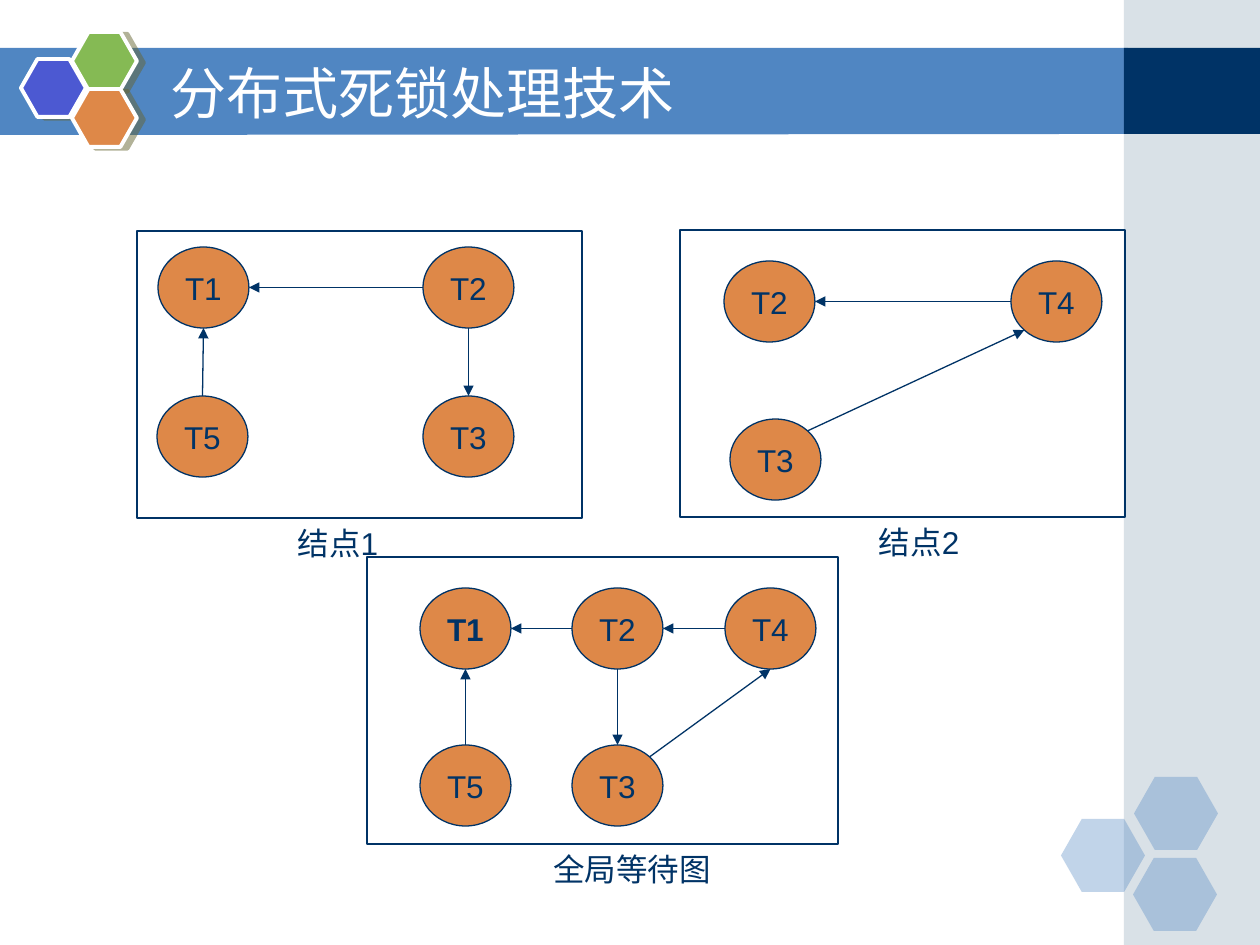
from math import cos, pi, sin

from lxml.etree import SubElement
from pptx import Presentation
from pptx.dml.color import RGBColor
from pptx.enum.shapes import MSO_CONNECTOR, MSO_SHAPE
from pptx.enum.text import MSO_ANCHOR, MSO_AUTO_SIZE, PP_ALIGN
from pptx.oxml.ns import qn
from pptx.util import Pt

EMU_PER_PX = 914400 / 126
COLORS = {
    "band": "5086C2", "navy": "003366", "side": "A0B5C4", "white": "FFFFFF",
    "violet": "4C59D2", "green": "85BA54", "orange": "DE8848", "shadow": "666633",
}
NODE_WIDTH, NODE_HEIGHT = 91, 81
# Connection sites of an ellipse, counter-clockwise from the top
TOP, TOP_LEFT, LEFT, BOTTOM_LEFT, BOTTOM, BOTTOM_RIGHT, RIGHT, TOP_RIGHT = range(8)

GRAPHS = [
    {
        "frame": (137, 231, 445, 287),
        "caption": ("结点1", 204, 518),
        "nodes": {"T1": (158, 247), "T2": (423, 247), "T5": (157, 396), "T3": (423, 396)},
        "edges": [("T2", LEFT, "T1", RIGHT), ("T5", TOP, "T1", BOTTOM),
                  ("T2", BOTTOM, "T3", TOP)],
    },
    {
        "frame": (680, 230, 445, 287),
        "caption": ("结点2", 785, 517),
        "nodes": {"T4": (1011, 261), "T2": (724, 261), "T3": (730, 419)},
        "edges": [("T4", LEFT, "T2", RIGHT), ("T3", TOP_RIGHT, "T4", BOTTOM_LEFT)],
    },
    {
        "frame": (367, 557, 471, 287),
        "caption": ("全局等待图", 498, 844),
        "nodes": {"T1": (420, 588), "T4": (725, 588), "T2": (572, 588),
                  "T3": (572, 745), "T5": (420, 745)},
        "edges": [("T4", LEFT, "T2", RIGHT), ("T2", LEFT, "T1", RIGHT),
                  ("T3", TOP_RIGHT, "T4", BOTTOM), ("T5", TOP, "T1", BOTTOM),
                  ("T2", BOTTOM, "T3", TOP)],
        "bold": "T1",
    },
]


def px(*lengths):
    return [round(length * EMU_PER_PX) for length in lengths]


def rgb(name):
    return RGBColor.from_string(COLORS[name])


def paint(shape, fill=None, line=None, width=0.75, alpha=None):
    """Set fill and outline; alpha is the fill's opacity in percent."""
    shape.shadow.inherit = False
    if fill:
        shape.fill.solid()
        shape.fill.fore_color.rgb = rgb(fill)
    else:
        shape.fill.background()
    if alpha:
        color = shape.fill._xPr.find(qn("a:solidFill"))[0]
        SubElement(color, qn("a:alpha"), val=str(alpha * 1000))
    if line:
        shape.line.color.rgb = rgb(line)
        shape.line.width = Pt(width)
    else:
        shape.line.fill.background()


def add_block(page, kind, bounds, **style):
    shape = page.shapes.add_shape(kind, *px(*bounds))
    paint(shape, **style)
    return shape


def add_hexagon(page, bounds, **style):
    hexagon = add_block(page, MSO_SHAPE.HEXAGON, bounds, **style)
    hexagon.adjustments[0] = 0.285
    return hexagon


def add_hard_shadow(shape):
    effects = shape._element.spPr.find(qn("a:effectLst"))
    shadow = SubElement(effects, qn("a:outerShdw"), dist=str(Pt(4.1)),
                        dir=str(14 * 60000), algn="ctr", rotWithShape="0")
    color = SubElement(shadow, qn("a:srgbClr"), val=COLORS["shadow"])
    SubElement(color, qn("a:alpha"), val="50000")


def write(shape, text, size=18, font="Arial", color="navy", bold=False,
          align=PP_ALIGN.CENTER, anchor=MSO_ANCHOR.MIDDLE, wrap=True, before=0):
    frame = shape.text_frame
    frame.auto_size = MSO_AUTO_SIZE.NONE
    frame.word_wrap = wrap
    frame.vertical_anchor = anchor
    para = frame.paragraphs[0]
    para.alignment = align
    para.space_before = Pt(before)
    span = para.add_run()
    span.text = text
    span.font.size = Pt(size)
    span.font.name = font
    span.font.bold = bold
    span.font.color.rgb = rgb(color)


def site_point(node, site):
    """Return the place of a connection site on an ellipse."""
    angle = site * pi / 4
    x = node.left + node.width / 2 * (1 - sin(angle))
    y = node.top + node.height / 2 * (1 - cos(angle))
    return round(x), round(y)


def add_arrow(page, start, start_site, end, end_site):
    arrow = page.shapes.add_connector(
        MSO_CONNECTOR.STRAIGHT, *site_point(start, start_site), *site_point(end, end_site))
    arrow.line.color.rgb = rgb("navy")
    arrow.line.width = Pt(0.75)
    SubElement(arrow.line._get_or_add_ln(), qn("a:tailEnd"), type="triangle")
    SubElement(arrow._element.spPr, qn("a:effectLst"))
    # begin_connect and end_connect only know the four sites of a rectangle
    joints = arrow._element.nvCxnSpPr.cNvCxnSpPr
    for tag, node, site in (("a:stCxn", start, start_site), ("a:endCxn", end, end_site)):
        SubElement(joints, qn(tag), id=str(node.shape_id), idx=str(site))


def add_graph(page, frame, caption, nodes, edges, bold=None):
    add_block(page, MSO_SHAPE.RECTANGLE, frame, line="navy")
    ellipses = {}
    for name, (left, top) in nodes.items():
        ellipse = add_block(page, MSO_SHAPE.OVAL, (left, top, NODE_WIDTH, NODE_HEIGHT),
                            fill="orange", line="navy")
        write(ellipse, name, bold=name == bold, wrap=False)
        ellipses[name] = ellipse
    for start, start_site, end, end_site in edges:
        add_arrow(page, ellipses[start], start_site, ellipses[end], end_site)
    text, left, top = caption
    box = page.shapes.add_textbox(*px(left, top, 268, 50))
    write(box, text, anchor=MSO_ANCHOR.TOP, before=11.2)


def add_backdrop(page):
    builder = page.shapes.build_freeform(-1, 48, scale=EMU_PER_PX)
    builder.add_line_segments([(1128, 48), (1128, 134), (-1, 135)], close=True)
    paint(builder.convert_to_shape(), fill="band")
    add_block(page, MSO_SHAPE.RECTANGLE, (1124, 0, 136, 945), fill="side", alpha=40)
    add_block(page, MSO_SHAPE.RECTANGLE, (1124, 48, 136, 86), fill="navy")
    for left, top in ((1061, 819), (1134, 777), (1133, 858)):
        add_hexagon(page, (left, top, 84, 73), fill="band", alpha=35)
    for left, top, color in ((21, 59, "violet"), (72, 32, "green"), (72, 89, "orange")):
        hexagon = add_hexagon(page, (left, top, 65, 58), fill=color, line="white", width=2.25)
        add_hard_shadow(hexagon)


def place_title(page, text):
    title = page.shapes.title
    title.left, title.top, title.width, title.height = px(158, 53, 924, 78)
    write(title, text, size=32, font="DejaVu Sans", color="white", align=PP_ALIGN.LEFT)
    # Bring the title in front of the band
    title._element.getparent().append(title._element)


def main():
    deck = Presentation()
    deck.slide_width, deck.slide_height = px(1260, 945)
    page = deck.slides.add_slide(deck.slide_layouts[5])
    add_backdrop(page)
    place_title(page, "分布式死锁处理技术")
    for graph in GRAPHS:
        add_graph(page, **graph)
    deck.save("out.pptx")


if __name__ == "__main__":
    main()
